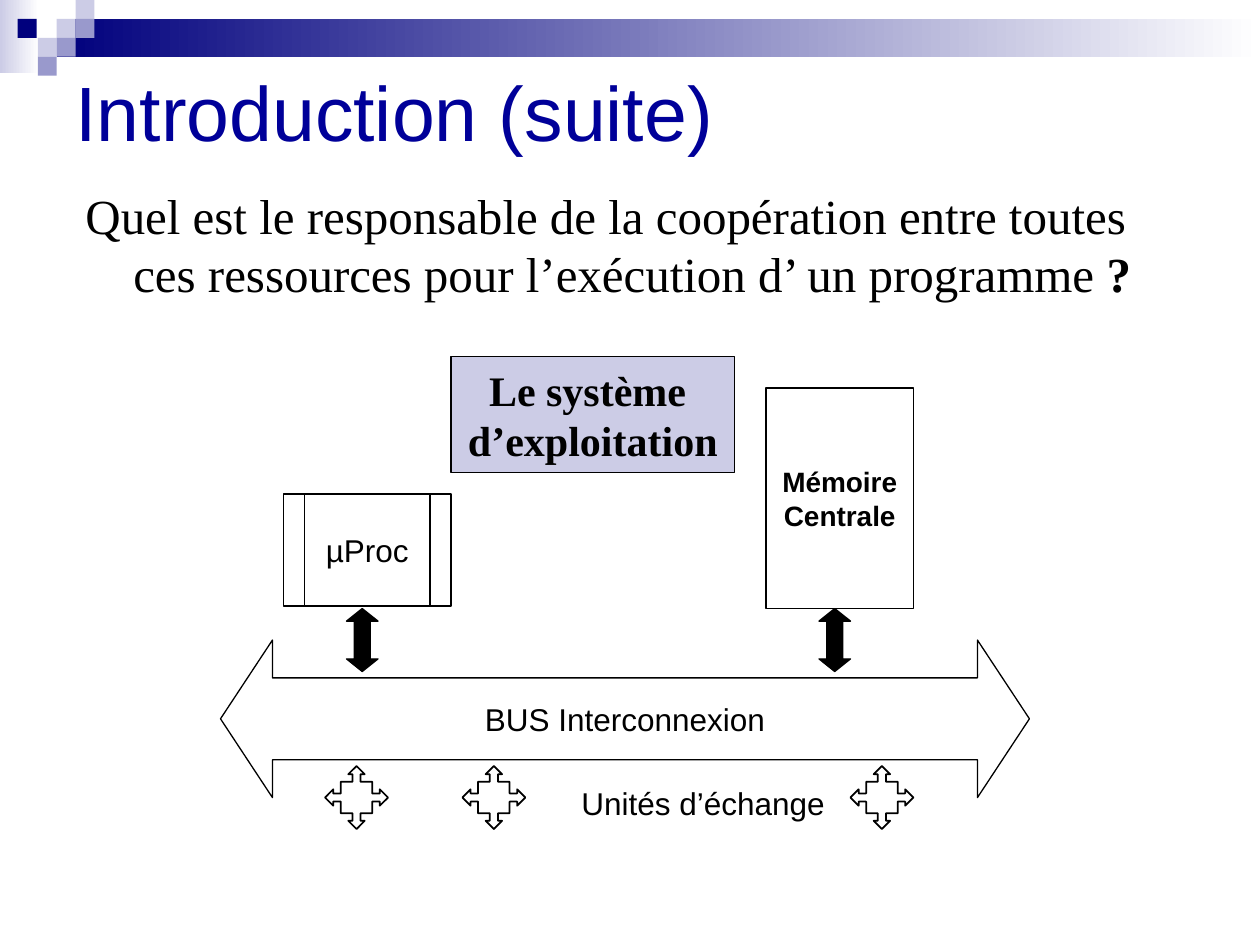
from lxml.etree import SubElement
from pptx import Presentation
from pptx.dml.color import RGBColor
from pptx.enum.shapes import MSO_SHAPE as Shape
from pptx.enum.text import MSO_ANCHOR as Anchor, MSO_AUTO_SIZE as AutoSize, PP_ALIGN as Align
from pptx.oxml.ns import qn
from pptx.util import Inches, Pt

THEME = {
    "navy": "00007D", "title": "000099", "lilac": "9999CC", "pale": "CCCCE6",
    "black": "000000", "white": "FFFFFF",
    "sans": "Arial", "serif": "Times New Roman",
    "title_size": 44, "question_size": 28, "answer_size": 24,
    "label_size": 18, "memory_size": 16, "line": 0.75, "thick_line": 1,
}

TITLE = "Introduction (suite)"
QUESTION = ("Quel est le responsable de la coopération entre toutes ces "
            "ressources pour l’exécution d’ un programme ", "?")
ANSWER = "Le système \nd’exploitation"
BUS = "BUS Interconnexion"
PROCESSOR = "µProc"
MEMORY = "Mémoire Centrale"
EXCHANGE = "Unités d’échange"

# Banner: gradient bands (box, start colour) and small squares (left, top, colour)
BANDS = [((0, 0, 0.31, 0.58), "pale"), ((0.45, 0.15, 9.55, 0.3), "navy")]
SQUARE = 0.15
SQUARES = [
    (0.45, 0.15, "pale"), (0.6, 0, "pale"), (0.6, 0.15, "lilac"),
    (0.3, 0.3, "pale"), (0.14, 0.15, "navy"), (0.45, 0.3, "lilac"),
    (0.3, 0.45, "lilac"),
]
UNIT_LEFTS = [2.58, 3.67, 6.75]
LINK_LEFTS = [6.5, 2.75]


def colour(name):
    return RGBColor.from_string(THEME[name])


def inches(box):
    return [Inches(value) for value in box]


def set_guides(block, guides):
    """Write the preset's adjust values, given as a dict of name to fraction."""
    geometry = block.element.spPr.find(qn("a:prstGeom"))
    values = geometry.find(qn("a:avLst"))
    if values is None:
        values = SubElement(geometry, qn("a:avLst"))
    for old in list(values):
        values.remove(old)
    for name, value in guides.items():
        SubElement(values, qn("a:gd"), name=name, fmla=f"val {round(value * 100000)}")


def add_block(page, kind, box, fill=None, line=None, guides=None):
    block = page.shapes.add_shape(kind, *inches(box))
    block.shadow.inherit = False
    if guides:
        set_guides(block, guides)
    if fill:
        block.fill.solid()
        block.fill.fore_color.rgb = colour(fill)
    else:
        block.fill.background()
    if line:
        block.line.color.rgb = colour("black")
        block.line.width = Pt(THEME[line])
    else:
        block.line.fill.background()
    return block


def write(shape, text, size, font="sans", ink="black", bold=False,
          align=Align.CENTER, anchor=Anchor.MIDDLE, wrap=False):
    frame = shape.text_frame
    frame.text = text
    frame.word_wrap = wrap
    frame.auto_size = AutoSize.NONE
    frame.vertical_anchor = anchor
    for para in frame.paragraphs:
        para.alignment = align
        for span in para.runs:
            style(span, size, font, ink, bold)
    return frame


def style(span, size, font, ink, bold):
    span.font.size = Pt(THEME[size])
    span.font.name = THEME[font]
    span.font.color.rgb = colour(ink)
    span.font.bold = bold


def add_banner(page):
    for box, start in BANDS:
        band = add_block(page, Shape.RECTANGLE, box)
        band.fill.gradient()
        band.fill.gradient_angle = 0
        for stop, name, position in zip(band.fill.gradient_stops, (start, "white"), (0, 1)):
            stop.color.rgb = colour(name)
            stop.position = position
    for left, top, fill in SQUARES:
        add_block(page, Shape.RECTANGLE, (left, top, SQUARE, SQUARE), fill)


def add_question(page):
    box = page.shapes.add_textbox(*inches((0.58, 1.42, 9, 5.28)))
    body, mark = QUESTION
    frame = write(box, body, "question_size", "serif", align=Align.LEFT,
                  anchor=Anchor.TOP, wrap=True)
    para = frame.paragraphs[0]
    para.space_before = Pt(7)
    hanging = para._p.get_or_add_pPr()
    hanging.set("marL", str(Inches(0.38)))
    hanging.set("indent", str(-Inches(0.38)))
    span = para.add_run()
    span.text = mark
    style(span, "question_size", "serif", "black", True)


def add_diagram(page):
    answer = add_block(page, Shape.RECTANGLE, (3.58, 2.83, 2.25, 0.92), "pale", "line")
    write(answer, ANSWER, "answer_size", "serif", bold=True)

    bus = add_block(page, Shape.LEFT_RIGHT_ARROW, (1.75, 5.08, 6.42, 1.25),
                    line="line", guides={"adj1": 0.52, "adj2": 0.33})
    write(bus, BUS, "label_size")

    processor = add_block(page, Shape.FLOWCHART_PREDEFINED_PROCESS,
                          (2.25, 3.92, 1.33, 0.89), line="line")
    write(processor, PROCESSOR, "label_size")

    unit_guides = {"adj1": 0.13, "adj2": 0.13, "adj3": 0.13, "adj4": 0.5}
    for left in UNIT_LEFTS:
        add_block(page, Shape.QUAD_ARROW_CALLOUT, (left, 6.08, 0.5, 0.5),
                  line="thick_line", guides=unit_guides)
    exchange = page.shapes.add_textbox(*inches((4.08, 6.17, 3, 0.4)))
    write(exchange, EXCHANGE, "label_size", anchor=Anchor.TOP, wrap=True)

    memory = add_block(page, Shape.FOLDED_CORNER, (6.08, 3.08, 1.17, 1.75),
                       line="line", guides={"adj": 0})
    write(memory, MEMORY, "memory_size", bold=True, wrap=True)

    for left in LINK_LEFTS:
        add_block(page, Shape.UP_DOWN_ARROW, (left, 4.83, 0.25, 0.5),
                  "black", "line", guides={"adj1": 0.5, "adj2": 0.4})


def main():
    deck = Presentation()
    deck.slide_width, deck.slide_height = Inches(10), Inches(7.5)
    page = deck.slides.add_slide(deck.slide_layouts[5])
    add_banner(page)
    title = page.shapes.title
    title.left, title.top, title.width, title.height = inches((0.5, 0.25, 9, 1.25))
    write(title, TITLE, "title_size", ink="title", align=Align.LEFT, wrap=True)
    add_question(page)
    add_diagram(page)
    deck.save("out.pptx")


if __name__ == "__main__":
    main()
